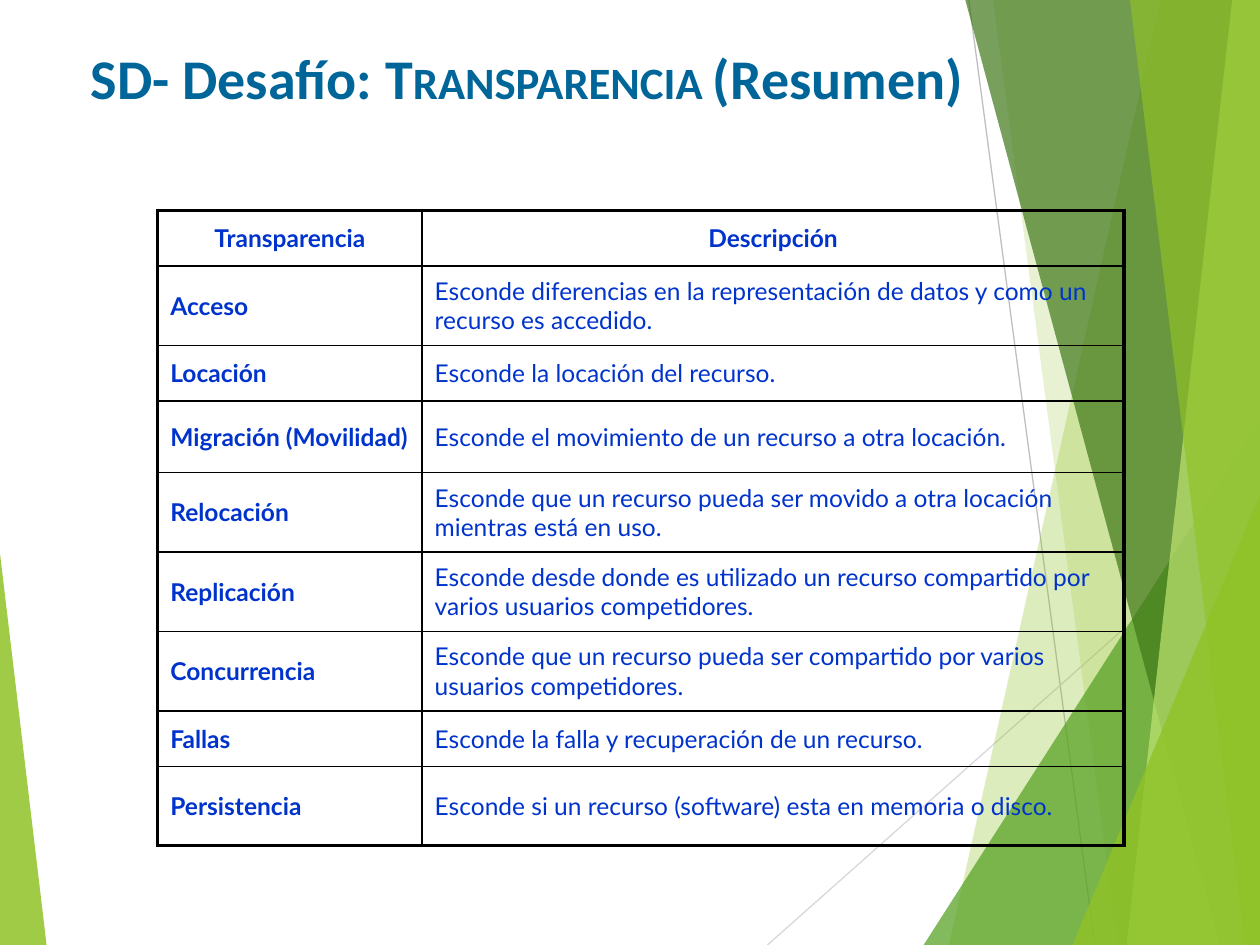
from pptx import Presentation
from pptx.dml.color import RGBColor
from pptx.enum.shapes import MSO_CONNECTOR, MSO_SHAPE
from pptx.enum.text import MSO_ANCHOR, PP_ALIGN
from pptx.oxml.ns import qn
from pptx.util import Cm, Pt
from lxml import etree

STRAIGHT = MSO_CONNECTOR.STRAIGHT
TRIANGLE = MSO_SHAPE.ISOSCELES_TRIANGLE
MIDDLE, BOTTOM = MSO_ANCHOR.MIDDLE, MSO_ANCHOR.BOTTOM
LEFT, CENTER = PP_ALIGN.LEFT, PP_ALIGN.CENTER

WIDTH, HEIGHT = 25.4, 19.05
COLORS = {
    "title": "006699", "cell": "0033CC", "border": "000000",
    "lime": "90C226", "green": "54A021", "forest": "3F7818", "pale": "BFE471",
    "gray": "BFBFBF", "light gray": "D8D8D8",
}

# Content: title spans are (text, small caps)
TITLE = [("SD- Desafío: ", False), ("Transparencia ", True), ("(Resumen)", False)]
# Rows are (transparency, description, height)
ROWS = [
    ("Transparencia", "Descripción", 1.12),
    ("Acceso", "Esconde diferencias en la representación de datos y como un recurso es accedido.", 1.6),
    ("Locación", "Esconde la locación del recurso.", 1.12),
    ("Migración (Movilidad)", "Esconde el movimiento de un recurso a otra locación.", 1.45),
    ("Relocación", "Esconde que un recurso pueda ser movido a otra locación mientras está en uso.", 1.6),
    ("Replicación", "Esconde desde donde es utilizado un recurso compartido por varios usuarios competidores.", 1.6),
    ("Concurrencia", "Esconde que un recurso pueda ser compartido por varios usuarios competidores.", 1.6),
    ("Fallas", "Esconde la falla y recuperación de un recurso.", 1.12),
    ("Persistencia", "Esconde si un recurso (software) esta en memoria o disco.", 1.6),
]
COLUMNS = [5.33, 14.15]
TABLE_LEFT, TABLE_TOP = 3.18, 4.24
THIN, THICK = 1, 2.25

# Decoration, back to front
LINES = [
    (19.53, 0, 22.07, HEIGHT, "gray"),
    (WIDTH, 10.24, 15.47, HEIGHT, "light gray"),
]
# A wedge is (top x, bottom x) and reaches the right edge;
# a triangle is (left, top, width, apex) and reaches the bottom edge
FACETS = [
    ("wedge", (23.39, 19.13), "lime", 30),
    ("wedge", (20.02, 22.53), "lime", 20),
    ("triangle", (18.62, 8.46, 6.78, 1), "green", 72),
    ("wedge", (19.46, 24.59), "forest", 70),
    ("wedge", (24.84, 22.71), "pale", 70),
    ("wedge", (22.78, 25.1), "lime", 65),
    ("triangle", (21.62, 9.98, 3.78, 1), "lime", 80),
    ("triangle", (0, 11.15, 0.94, 0), "lime", 85),
]


def color(name):
    return RGBColor.from_string(COLORS[name])


def add_line(page, x1, y1, x2, y2, name):
    line = page.shapes.add_connector(STRAIGHT, Cm(x1), Cm(y1), Cm(x2), Cm(y2))
    line.line.color.rgb = color(name)
    line.line.width = Pt(0.75)
    etree.SubElement(line.element.spPr, qn("a:effectLst"))


def add_facet(page, kind, place, name, opacity):
    if kind == "wedge":
        top_x, bottom_x = place
        builder = page.shapes.build_freeform(Cm(top_x), 0)
        corners = [(WIDTH, 0), (WIDTH, HEIGHT), (bottom_x, HEIGHT)]
        builder.add_line_segments([(Cm(x), Cm(y)) for x, y in corners], close=True)
        facet = builder.convert_to_shape()
    else:
        left, top, width, apex = place
        facet = page.shapes.add_shape(TRIANGLE, Cm(left), Cm(top), Cm(width), Cm(HEIGHT - top))
        facet.adjustments[0] = apex
    facet.shadow.inherit = False
    facet.line.fill.background()
    facet.fill.solid()
    facet.fill.fore_color.rgb = color(name)
    tint = facet.element.spPr.find(qn("a:solidFill"))[0]
    etree.SubElement(tint, qn("a:alpha"), val=str(opacity * 1000))


def style_span(span, font, size, name, bold):
    span.font.name = font
    span.font.size = Pt(size)
    span.font.bold = bold
    span.font.color.rgb = color(name)


def set_borders(cell, widths):
    properties = cell._tc.get_or_add_tcPr()
    for side, width in widths.items():
        border = etree.SubElement(properties, qn("a:ln" + side), w=str(Pt(width)))
        fill = etree.SubElement(border, qn("a:solidFill"))
        etree.SubElement(fill, qn("a:srgbClr"), val=COLORS["border"])


def add_title(page):
    title = page.shapes.title
    title.left, title.top, title.width, title.height = Cm(1.27), Cm(0.76), Cm(22.86), Cm(1.6)
    title.element.getparent().append(title.element)
    frame = title.text_frame
    frame.vertical_anchor = BOTTOM
    frame.margin_left = Cm(0.56)
    para = frame.paragraphs[0]
    para.alignment = LEFT
    for text, small_caps in TITLE:
        span = para.add_run()
        span.text = text
        style_span(span, "Calibri", 32, "title", True)
        if small_caps:
            span.font._element.set("cap", "small")


def add_summary(page):
    heights = [row[2] for row in ROWS]
    table = page.shapes.add_table(
        len(ROWS), len(COLUMNS), Cm(TABLE_LEFT), Cm(TABLE_TOP),
        Cm(sum(COLUMNS)), Cm(sum(heights))).table
    table.first_row = table.horz_banding = False
    for column, width in zip(table.columns, COLUMNS):
        column.width = Cm(width)
    last_row, last_column = len(ROWS) - 1, len(COLUMNS) - 1
    for r, (*texts, height) in enumerate(ROWS):
        table.rows[r].height = Cm(height)
        for c, text in enumerate(texts):
            cell = table.cell(r, c)
            cell.text_frame.text = text
            cell.vertical_anchor = MIDDLE
            para = cell.text_frame.paragraphs[0]
            para.alignment = CENTER if r == 0 else LEFT
            style_span(para.runs[0], "Lato", 14, "cell", r == 0 or c == 0)
            set_borders(cell, {
                "L": THICK if c == 0 else THIN,
                "R": THICK if c == last_column else THIN,
                "T": THICK if r == 0 else THIN,
                "B": THICK if r == last_row else THIN,
            })
            cell.fill.background()


def main():
    deck = Presentation()
    deck.slide_width, deck.slide_height = Cm(WIDTH), Cm(HEIGHT)
    page = deck.slides.add_slide(deck.slide_layouts[5])
    for line in LINES:
        add_line(page, *line)
    for facet in FACETS:
        add_facet(page, *facet)
    add_title(page)
    add_summary(page)
    deck.save("out.pptx")


if __name__ == "__main__":
    main()
